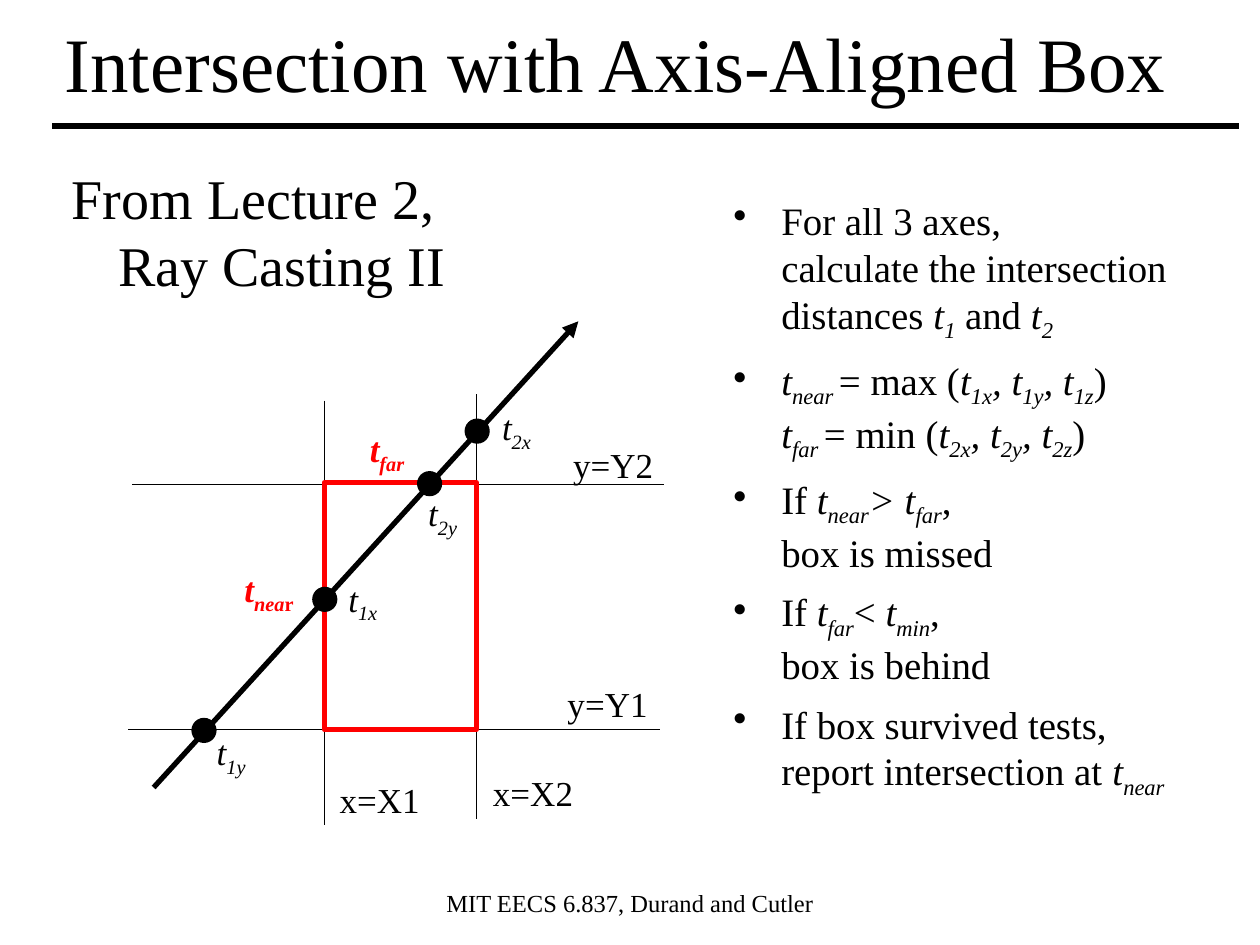
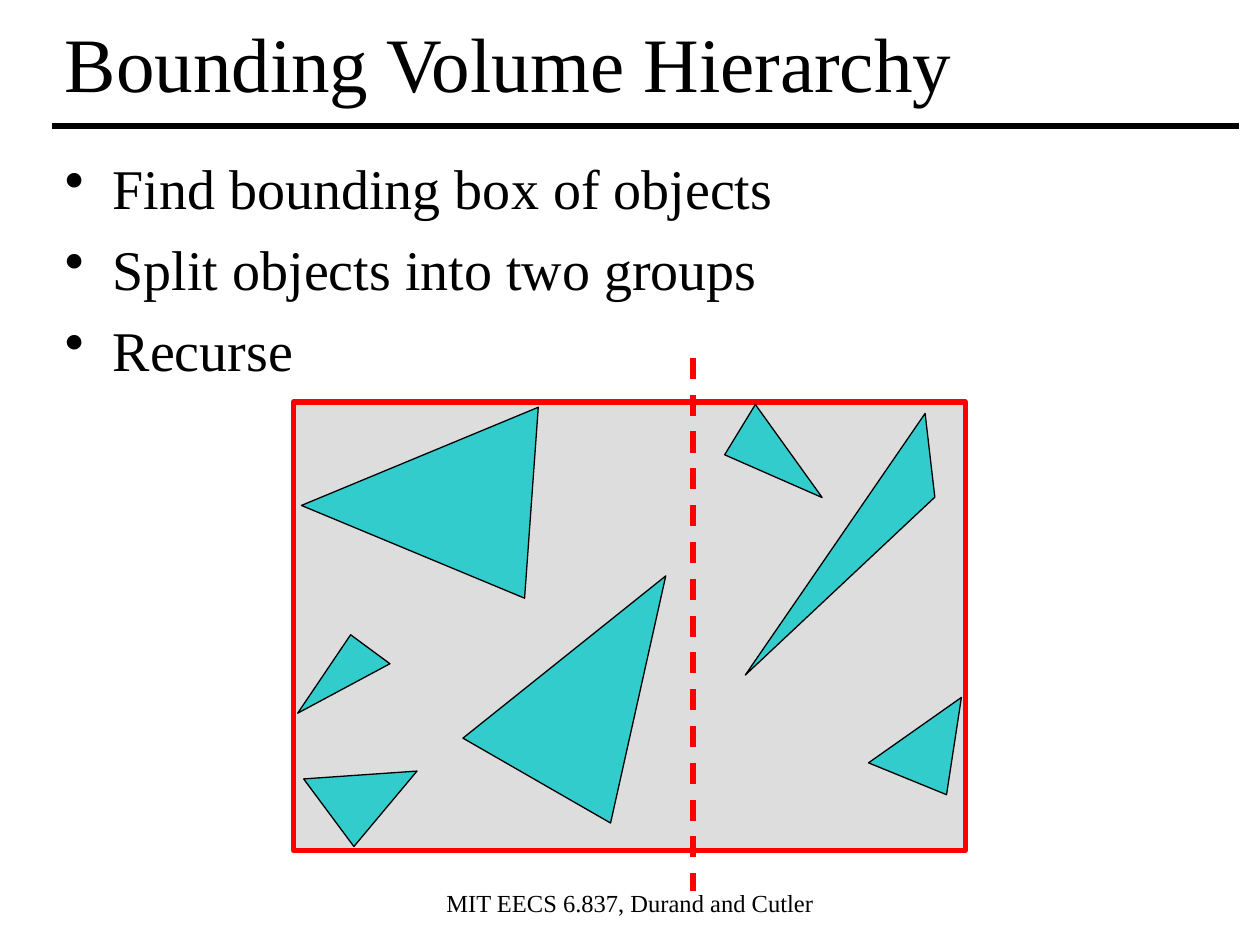
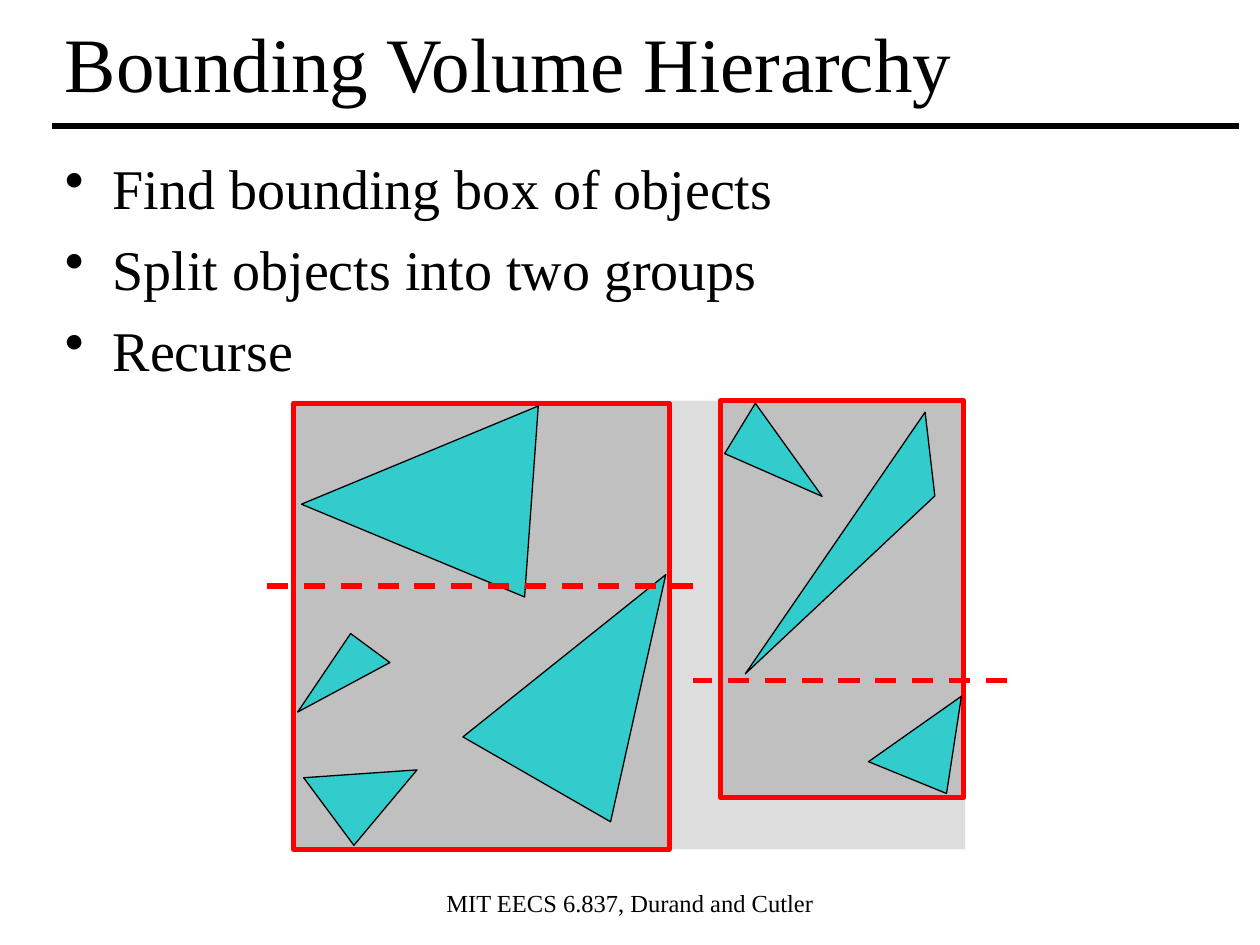
from lxml import etree
from pptx import Presentation
from pptx import util as u
from pptx.dml.color import RGBColor
from pptx.enum import dml, shapes, text
from pptx.oxml import ns

color = RGBColor.from_string
FONT = "Times New Roman"
BLACK, RED, TEAL = "000000", "FF0000", "33CCCC"
PALE, GRAY = "DDDDDD", "C0C0C0"
LINE, RECTANGLE = shapes.MSO_CONNECTOR.STRAIGHT, shapes.MSO_SHAPE.RECTANGLE
# First character of a text piece: italic and subscript settings
MARKS = {"/": (True, False), "_": (True, True), "~": (False, True)}


def style(item, line=None, width=0.75, fill=None):
    """Set outline, fill and empty effects on a shape or connector."""
    if line:
        item.line.color.rgb = color(line)
        item.line.width = u.Pt(width)
    else:
        item.line.fill.background()
    if fill:
        item.fill.solid()
        item.fill.fore_color.rgb = color(fill)
    elif hasattr(item, "fill"):
        item.fill.background()
    etree.SubElement(item._element.spPr, ns.qn("a:effectLst"))
    return item


def add_text(page, area, paragraphs, size, ink=BLACK, bold=False, wrap=True,
             indent=0, bullet=False, gap=0):
    """Add a text box; pieces of a paragraph are separated by |."""
    box = page.shapes.add_textbox(*map(u.Pt, area))
    frame = box.text_frame
    frame.word_wrap = wrap
    for index, pieces in enumerate(paragraphs):
        para = frame.paragraphs[0] if index == 0 else frame.add_paragraph()
        properties = para._p.get_or_add_pPr()
        if indent:
            properties.set("marL", str(u.Pt(indent)))
            properties.set("indent", str(-u.Pt(indent)))
        if bullet:
            etree.SubElement(properties, ns.qn("a:buChar"), char="•")
        if index:
            para.space_before = u.Pt(gap)
        para.font.name, para.font.size = FONT, u.Pt(size)
        para.font.color.rgb = color(ink)
        para.font.bold = bold
        for piece in pieces.split("|"):
            if piece == "\n":
                para.add_line_break()
                continue
            span = para.add_run()
            italic, subscript = MARKS.get(piece[0], (False, False))
            span.text = piece[1:] if piece[0] in MARKS else piece
            if italic:
                span.font.italic = True
            if subscript:
                span.font._element.set("baseline", "-25000")
    return frame


deck = Presentation()
deck.slide_width, deck.slide_height = u.Pt(720), u.Pt(540)

# Title, rule and footer on every page
pages = []
for title in ("Intersection with Axis-Aligned Box",
              "Bounding Volume Hierarchy", "Bounding Volume Hierarchy"):
    page = deck.slides.add_slide(deck.slide_layouts[6])
    pages.append(page)
    style(page.shapes.add_connector(LINE, *map(u.Pt, (30, 72, 708, 72))), BLACK, 3)
    frame = add_text(page, (30, 0, 678, 71), [title], 44)
    frame.vertical_anchor = text.MSO_ANCHOR.MIDDLE
    frame = add_text(page, (246, 504, 228, 41), ["MIT EECS 6.837, Durand and Cutler"], 14)
    frame.paragraphs[0].alignment = text.PP_ALIGN.CENTER

# Slide 1: text columns
page = pages[0]
add_text(page, (34, 90, 269, 86), ["From Lecture 2, Ray Casting II"], 32, indent=26.6)
add_text(page, (412, 109, 291, 353), [
    "For all 3 axes, |\n|calculate the intersection |\n|distances |/t|_1| and |/t|_2",
    "/t|_near |= max (|/t|_1x|/, t|_1y|/, t|_1z|)|\n|"
    "/t|_far |= min (|/t|_2x|/, t|_2y|/, t|_2z|)",
    "If |/t|_near|/> t|_far|, |\n|box is missed",
    "If |/t|_far|< |/t|_min|, |\n|box is behind",
    "If box survived tests, |\n|report intersection at |/t|_near",
], 22.2, indent=27.4, bullet=True, gap=7.4)

# Slide 1: slab lines, ray and box
slab_lines = [(185.4, 229, 185.4, 471.6), (272.2, 225.4, 272.2, 468),
              (75.6, 276.8, 379.4, 276.8), (73.4, 416.9, 377.3, 416.9)]
for ends in slab_lines:
    style(page.shapes.add_connector(LINE, *map(u.Pt, ends)), BLACK, 0.25)
ray = style(page.shapes.add_connector(LINE, *map(u.Pt, (87.8, 450, 330.5, 183.6))), BLACK, 3)
etree.SubElement(ray.line._get_or_add_ln(), ns.qn("a:tailEnd"), type="triangle")
style(page.shapes.add_shape(RECTANGLE, *map(u.Pt, (185.4, 275.8, 86.8, 141.1))), RED, 3)

# Slide 1: hit points, each a dot of one size
DOT = 14.4
for left, top in [(109.4, 410.2), (178.4, 335.3), (238.3, 269.2), (265.5, 239.2)]:
    area = map(u.Pt, (left, top, DOT, DOT))
    style(page.shapes.add_shape(shapes.MSO_SHAPE.OVAL, *area), fill=BLACK)

# Slide 1: labels
labels = [
    ("y=Y2", 320.4, 249.8, 60, BLACK), ("y=Y1", 317.2, 386.2, 60, BLACK),
    ("x=X1", 187, 441.2, 60, BLACK), ("x=X2", 274.6, 437.6, 60, BLACK),
    ("/t|_nea|~r", 132.6, 320.6, 42.5, RED), ("/t|_far", 204.2, 241, 34, RED),
    ("/t|_1x", 192, 326.2, 31, BLACK), ("/t|_1y", 116.8, 414, 31, BLACK),
    ("/t|_2x", 279.8, 228.2, 31, BLACK), ("/t|_2y", 237.6, 277.4, 31, BLACK),
]
for label, left, top, width, ink in labels:
    add_text(page, (left, top, width, 33), [label], 20, ink, bold=ink == RED, wrap=False)

# Slides 2 and 3: bounding boxes, triangles and split lines
bounds = [
    [(167.8, 229.7, 383.8, 256.3, PALE, RED)],
    [(167.8, 229, 383.8, 256.3, PALE, None), (167.8, 230.4, 214.6, 254.9, GRAY, RED),
     (411.8, 229, 139, 226.8, GRAY, RED)],
]
splits = [[(396, 204.5, 396, 509)],
          [(575.3, 388.8, 396, 388.8), (396, 334.8, 144.7, 334.8)]]
# left, top, width, height, rotation, apex, flip
triangles = [
    (405.4, 251.3, 65.5, 31, 234.3, 0.8, None),
    (399.6, 304.2, 181.4, 31.7, 304.5, 0.8, "flipV"),
    (183.6, 217.1, 109.4, 131, 274.1, 0.6, "flipH"),
    (247, 343.1, 144.7, 92.9, 282.6, 0.2, None),
    (160.6, 369.7, 59.8, 25.2, 331.8, 0.8, None),
    (493.9, 399.4, 56.2, 46.8, 278.7, 0.2, None),
    (174.2, 423.8, 56.2, 46.8, 309.9, 0.2, None),
]
for page, boxes, cuts, lift in zip(pages[1:], bounds, splits, (0, 0.7)):
    for *area, fill, outline in boxes:
        style(page.shapes.add_shape(RECTANGLE, *map(u.Pt, area)), outline, 3, fill)
    for left, top, width, height, rotation, apex, flip in triangles:
        area = map(u.Pt, (left, top - lift, width, height))
        triangle = page.shapes.add_shape(shapes.MSO_SHAPE.ISOSCELES_TRIANGLE, *area)
        style(triangle, BLACK, 0.75, TEAL)
        triangle.rotation = rotation
        triangle.adjustments[0] = apex
        if flip:
            triangle._element.spPr.get_or_add_xfrm().set(flip, "1")
    for ends in cuts:
        cut = style(page.shapes.add_connector(LINE, *map(u.Pt, ends)), RED, 3)
        cut.line.dash_style = dml.MSO_LINE.DASH
    add_text(page, (30, 84.2, 665, 413), [
        "Find bounding box of objects", "Split objects into two groups", "Recurse",
    ], 32, indent=27.4, bullet=True, gap=8)

deck.save("out.pptx")
